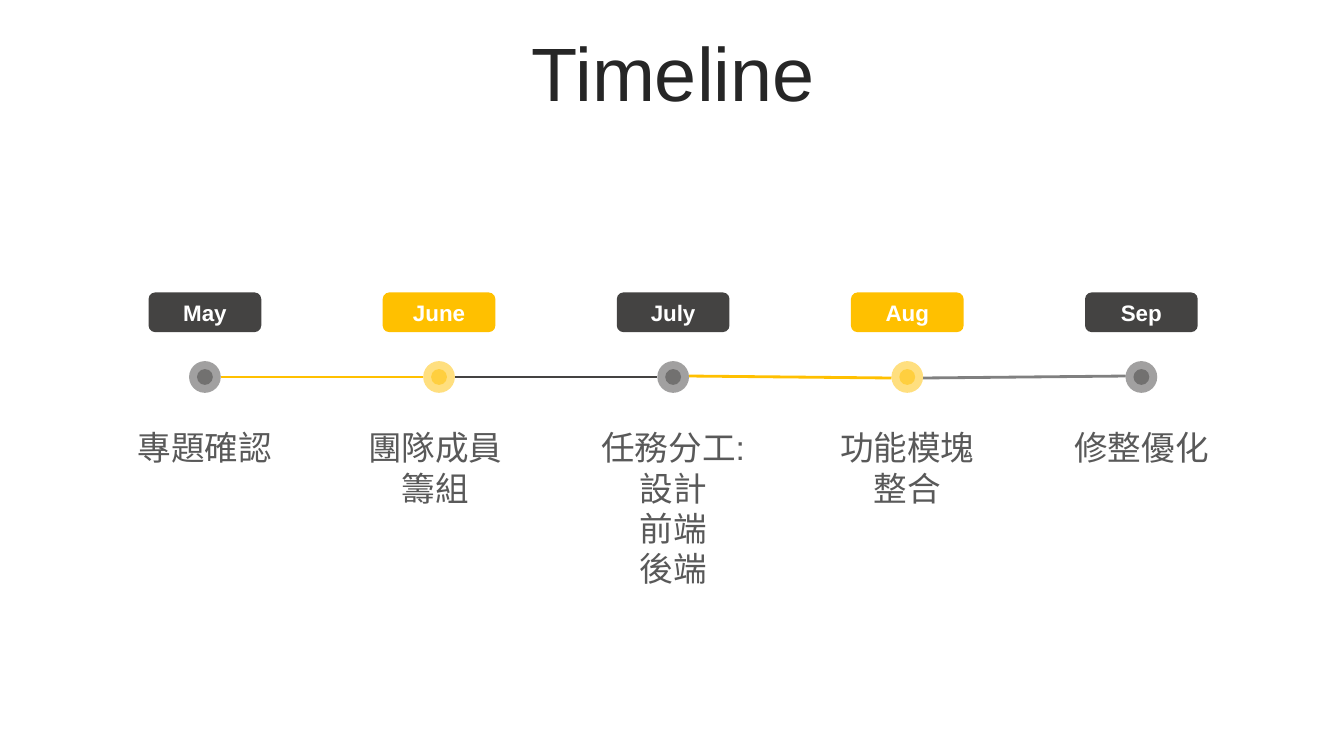
from lxml import etree
from pptx import Presentation
from pptx.dml.color import RGBColor
from pptx.enum.shapes import MSO_CONNECTOR, MSO_SHAPE
from pptx.enum.text import MSO_ANCHOR, PP_ALIGN
from pptx.oxml.ns import qn
from pptx.util import Cm, Pt

LINE = MSO_CONNECTOR.STRAIGHT
OVAL, ROUND = MSO_SHAPE.OVAL, MSO_SHAPE.ROUNDED_RECTANGLE
MIDDLE, TOP = MSO_ANCHOR.MIDDLE, MSO_ANCHOR.TOP
CENTER = PP_ALIGN.CENTER

HUES = {"dark": "444342", "gold": "FFC000", "gray": "808080",
        "title": "262626", "note": "595959", "white": "FFFFFF"}
STEPS = [
    ("May", "dark", "專題確認"),
    ("June", "gold", "團隊成員 \n籌組 "),
    ("July", "dark", "任務分工:\n設計\n前端\n後端"),
    ("Aug", "gold", "功能模塊\n整合"),
    ("Sep", "dark", "修整優化"),
]
LINKS = [("gold", 0), ("dark", 0), ("gold", 0.05), ("gray", -0.05)]
PITCH = 5.9
RING, CORE = 0.8, 0.4
AXIS = 2.13


def color(name):
    """Return the named colour."""
    return RGBColor.from_string(HUES[name])


def write(shape, text, size, hue, bold=False, anchor=TOP):
    """Set centred text in a shape and format its runs."""
    frame = shape.text_frame
    frame.text = text
    frame.word_wrap = True
    frame.vertical_anchor = anchor
    for para in frame.paragraphs:
        para.alignment = CENTER
        for run in para.runs:
            font = run.font
            font.name, font.size, font.bold = "Arial", Pt(size), bold
            font.color.rgb = color(hue)


def add_form(slide, kind, box, hue):
    """Add a plain filled shape in a box given in centimetres."""
    shape = slide.shapes.add_shape(kind, *map(Cm, box))
    shape.shadow.inherit = False
    shape.fill.solid()
    shape.fill.fore_color.rgb = color(hue)
    shape.line.fill.background()
    return shape


def add_dot(slide, mid, y, size, hue):
    """Add a half-transparent disc around a centre point."""
    dot = add_form(slide, OVAL, (mid - size / 2, y - size / 2, size, size), hue)
    tint = dot._element.spPr.find(qn("a:solidFill")).find(qn("a:srgbClr"))
    etree.SubElement(tint, qn("a:alpha")).set("val", "50000")


def add_link(slide, left, y, width, hue, drop):
    """Add a line that falls by the given drop over its width."""
    link = slide.shapes.add_connector(
        LINE, Cm(left), Cm(y - drop / 2), Cm(left + width), Cm(y + drop / 2))
    link.line.color.rgb = color(hue)
    link.line.width = Pt(2)
    etree.SubElement(link._element.spPr, qn("a:effectLst"))


def add_title(slide, box):
    """Write the slide title in its box."""
    title = slide.shapes.add_textbox(*map(Cm, box))
    write(title, "Timeline", 54, "title", anchor=MIDDLE)
    para = title.text_frame.paragraphs[0]
    para.line_spacing = 0.9
    para.space_before = Pt(10)


def add_step(slide, left, top, width, step):
    """Place a month badge, its marker and its note in one column."""
    month, hue, note = step
    mid = left + width / 2
    badge = add_form(slide, ROUND, (mid - 1.42, top, 2.84, 1), hue)
    write(badge, month, 16, "white", True, MIDDLE)
    for size in (RING, CORE):
        add_dot(slide, mid, top + AXIS, size, hue)
    rows = note.count("\n") + 1
    label = slide.shapes.add_textbox(
        Cm(left), Cm(top + 3.27), Cm(width), Cm(0.25 + 1.03 * rows))
    write(label, note, 24, "note")


def add_track(slide, left, top, width):
    """Lay out the links and the steps at an equal pitch."""
    for i, (hue, drop) in enumerate(LINKS):
        start = left + width / 2 + i * PITCH + RING / 2
        add_link(slide, start, top + AXIS, PITCH - RING, hue, drop)
    for i, step in enumerate(STEPS):
        add_step(slide, left + i * PITCH, top, width, step)


def main():
    """Build and save the timeline slide."""
    deck = Presentation()
    deck.slide_width, deck.slide_height = Cm(33.87), Cm(19.05)
    slide = deck.slides.add_slide(deck.slide_layouts[6])
    add_title(slide, (0.89, 0.94, 32.16, 2))
    add_track(slide, 2.41, 7.37, 5.51)
    deck.save("out.pptx")


if __name__ == "__main__":
    main()
